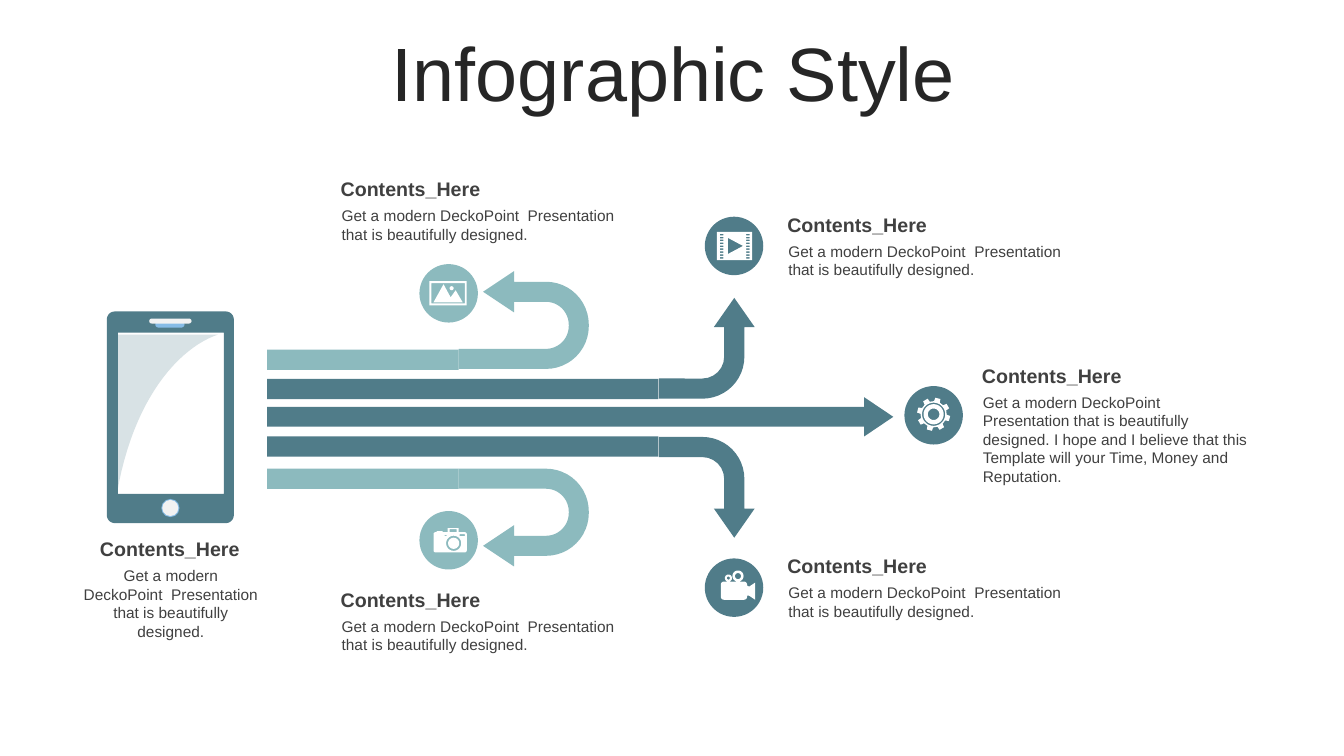
from math import cos, radians, sin

from lxml.etree import SubElement
from pptx import Presentation
from pptx.dml.color import RGBColor
from pptx.enum.shapes import MSO_SHAPE
from pptx.enum.text import MSO_ANCHOR, MSO_AUTO_SIZE, PP_ALIGN
from pptx.oxml.ns import qn
from pptx.util import Inches, Pt

COLORS = {
    "teal": "507C89",
    "mint": "8CBABE",
    "glow": "87BCE6",
    "pale": "F2F2F2",
    "white": "FFFFFF",
    "title": "262626",
    "text": "404040",
}
FONT = "Arial"
PITCH = "Get a modern DeckoPoint  Presentation that is beautifully designed."
LONG_PITCH = (
    "Get a modern DeckoPoint Presentation that is beautifully designed. "
    "I hope and I believe that this Template will your Time, Money and Reputation."
)


def box(left, top, right, bottom):
    return [(left, top), (right, top), (right, bottom), (left, bottom)]


def arc(cx, cy, radius, start, end, step=10):
    return [(cx + radius * cos(radians(a)), cy + radius * sin(radians(a)))
            for a in range(start, end + 1, step)]


def circle(cx, cy, radius):
    return arc(cx, cy, radius, 0, 350)


def rounded(left, top, right, bottom, radius):
    """Contour of a rectangle with rounded corners."""
    near_x, near_y = left + radius, top + radius
    far_x, far_y = right - radius, bottom - radius
    centres = [(far_x, far_y), (near_x, far_y), (near_x, near_y), (far_x, near_y)]
    return [point for i, (cx, cy) in enumerate(centres)
            for point in arc(cx, cy, radius, 90 * i, 90 * i + 90)]


def bezier(p0, p1, p2, p3, steps=24):
    points = []
    for i in range(steps + 1):
        t = i / steps
        weights = ((1 - t) ** 3, 3 * t * (1 - t) ** 2, 3 * t * t * (1 - t), t ** 3)
        points.append(tuple(sum(w * p[axis] for w, p in zip(weights, (p0, p1, p2, p3)))
                            for axis in (0, 1)))
    return points


def film_icon():
    holes = [box(left, 2.32 + 0.029 * row, left + 0.035, 2.335 + 0.029 * row)
             for row in range(9) for left in (7.14, 7.4)]
    play = [(7.22, 2.36), (7.22, 2.52), (7.37, 2.44)]
    return [box(7.11, 2.3, 7.46, 2.58), play, *holes]


def landscape_icon():
    mountains = [(4.4, 2.82), (4.47, 2.95), (4.52, 2.88), (4.59, 3), (4.3, 3)]
    return [box(4.26, 2.79, 4.63, 3.03), box(4.28, 2.81, 4.61, 3.01),
            mountains, circle(4.48, 2.86, 0.02)]


def gear_icon():
    cx, cy = 9.26, 4.11
    profile = [(-13, 0.13), (-9, 0.165), (9, 0.165), (13, 0.13)]
    teeth = [(cx + r * cos(radians(a)), cy + r * sin(radians(a)))
             for tooth in range(8)
             for a, r in ((45 * tooth - 75 + turn, r) for turn, r in profile)]
    return [teeth] + [circle(cx, cy, r) for r in (0.115, 0.1, 0.057)]


def camera_icon():
    return [rounded(4.3, 5.28, 4.63, 5.48, 0.02),
            box(4.44, 5.24, 4.55, 5.28), box(4.46, 5.25, 4.53, 5.28),
            box(4.33, 5.27, 4.39, 5.28), box(4.41, 5.31, 4.43, 5.32),
            box(4.56, 5.3, 4.61, 5.32),
            circle(4.5, 5.39, 0.075), circle(4.5, 5.39, 0.055)]


def movie_icon():
    lens = [(7.41, 5.81), (7.43, 5.82), (7.49, 5.78), (7.49, 5.95),
            (7.43, 5.91), (7.41, 5.91)]
    return [rounded(7.15, 5.77, 7.41, 5.95, 0.03), lens,
            circle(7.32, 5.715, 0.055), circle(7.32, 5.715, 0.03),
            circle(7.225, 5.735, 0.035), circle(7.225, 5.735, 0.015)]


class Infographic:
    def __init__(self, slide):
        self.shapes = slide.shapes

    def paint(self, shape, color, alpha=None):
        shape.shadow.inherit = False
        shape.fill.solid()
        shape.fill.fore_color.rgb = RGBColor.from_string(COLORS[color])
        shape.line.fill.background()
        if alpha is not None:
            tint = shape._element.spPr.find(".//" + qn("a:srgbClr"))
            SubElement(tint, qn("a:alpha")).set("val", str(alpha * 1000))

    def preset(self, kind, at, color, adjustments=(), rotation=0, flips=()):
        shape = self.shapes.add_shape(kind, *map(Inches, at))
        for i, value in enumerate(adjustments):
            shape.adjustments[i] = value
        shape.rotation = rotation
        for flip in flips:
            shape._element.spPr.xfrm.set(flip, "1")
        self.paint(shape, color)

    def outline(self, contours, color, alpha=None):
        """Filled outline; a contour inside another one cuts a hole."""
        scaled = [[(Inches(x), Inches(y)) for x, y in contour] for contour in contours]
        builder = self.shapes.build_freeform(*scaled[0][0])
        for i, (first, *rest) in enumerate(scaled):
            if i:
                builder.move_to(*first)
            builder.add_line_segments(rest, close=True)
        self.paint(builder.convert_to_shape(), color, alpha)

    def text(self, words, at, size, color="text", bold=False, align=PP_ALIGN.LEFT):
        frame = self.shapes.add_textbox(*map(Inches, at)).text_frame
        frame.word_wrap = True
        frame.auto_size = MSO_AUTO_SIZE.NONE
        paragraph = frame.paragraphs[0]
        paragraph.alignment = align
        run = paragraph.add_run()
        run.text = words
        run.font.name, run.font.size, run.font.bold = FONT, Pt(size), bold
        run.font.color.rgb = RGBColor.from_string(COLORS[color])
        return frame

    def title(self, words):
        frame = self.text(words, (0.35, 0.37, 12.66, 0.79), 54, "title", align=PP_ALIGN.CENTER)
        frame.vertical_anchor = MSO_ANCHOR.MIDDLE
        frame.paragraphs[0].line_spacing = 0.9
        frame.paragraphs[0].space_before = Pt(10)

    def caption(self, left, top, width, pitch=PITCH, height=0.47, align=PP_ALIGN.LEFT):
        self.text("Contents_Here", (left, top, width, 0.34), 14, bold=True, align=align)
        self.text(pitch, (left + 0.01, top + 0.29, width, height), 11, align=align)

    def badge(self, left, top, color, icon):
        self.preset(MSO_SHAPE.OVAL, (left, top, 0.58, 0.58), color)
        self.outline(icon, "white")

    def phone(self):
        self.outline([rounded(1.06, 3.09, 2.32, 5.19, 0.08), box(1.17, 3.3, 2.22, 4.9)], "teal")
        shine = bezier((1.16, 4.9), (1.32, 3.95), (1.78, 3.45), (2.16, 3.32))
        self.outline([[(1.16, 3.32), *shine]], "teal", alpha=22)
        pill, dot = MSO_SHAPE.ROUNDED_RECTANGLE, MSO_SHAPE.OVAL
        self.preset(pill, (1.54, 3.19, 0.29, 0.06), "glow", [0.5])
        self.preset(pill, (1.48, 3.16, 0.42, 0.05), "pale", [0.5])
        self.preset(dot, (1.6, 4.95, 0.18, 0.18), "glow")
        self.preset(dot, (1.61, 4.96, 0.16, 0.16), "pale")

    def arrows(self):
        bend = (MSO_SHAPE.BENT_ARROW, (0.211, 0.213, 0.304, 0.438), "teal", 3.88)
        uturn = (MSO_SHAPE.U_TURN_ARROW, (0.205, 0.211, 0.317, 0.438, 0.813), "mint", 1.9)
        up, down = (90, ("flipH",)), (270, ("flipH", "flipV"))
        routes = [
            (bend, (6.51, 2.98, 1, 0.95), 3.76, up),
            (uturn, (4.71, 2.53, 0.97, 1.29), 3.47, up),
            (bend, (6.51, 4.36, 1, 0.95), 4.33, down),
            (uturn, (4.71, 4.49, 0.97, 1.29), 4.65, down),
        ]
        self.preset(MSO_SHAPE.RIGHT_ARROW, (2.65, 3.94, 6.21, 0.39), "teal", (0.5, 0.742))
        for (kind, adjustments, color, length), head, stem_top, (turn, flips) in routes:
            self.preset(kind, head, color, adjustments, turn, flips)
            self.preset(MSO_SHAPE.RECTANGLE, (2.65, stem_top, length, 0.2), color)


def main():
    deck = Presentation()
    deck.slide_width, deck.slide_height = Inches(13.33), Inches(7.5)
    page = Infographic(deck.slides.add_slide(deck.slide_layouts[6]))

    page.title("Infographic Style")
    page.phone()
    page.arrows()

    page.caption(0.72, 5.28, 1.93, height=0.84, align=PP_ALIGN.CENTER)
    for left, top, width in [(3.28, 1.71, 2.99), (3.28, 5.78, 2.99),
                             (7.71, 2.06, 2.92), (7.71, 5.45, 2.92)]:
        page.caption(left, top, width)
    page.caption(9.64, 3.56, 2.84, LONG_PITCH, height=1.02)

    page.badge(6.99, 2.15, "teal", film_icon())
    page.badge(8.97, 3.83, "teal", gear_icon())
    page.badge(6.99, 5.54, "teal", movie_icon())
    page.badge(4.16, 2.62, "mint", landscape_icon())
    page.badge(4.16, 5.07, "mint", camera_icon())

    deck.save("out.pptx")


if __name__ == "__main__":
    main()
